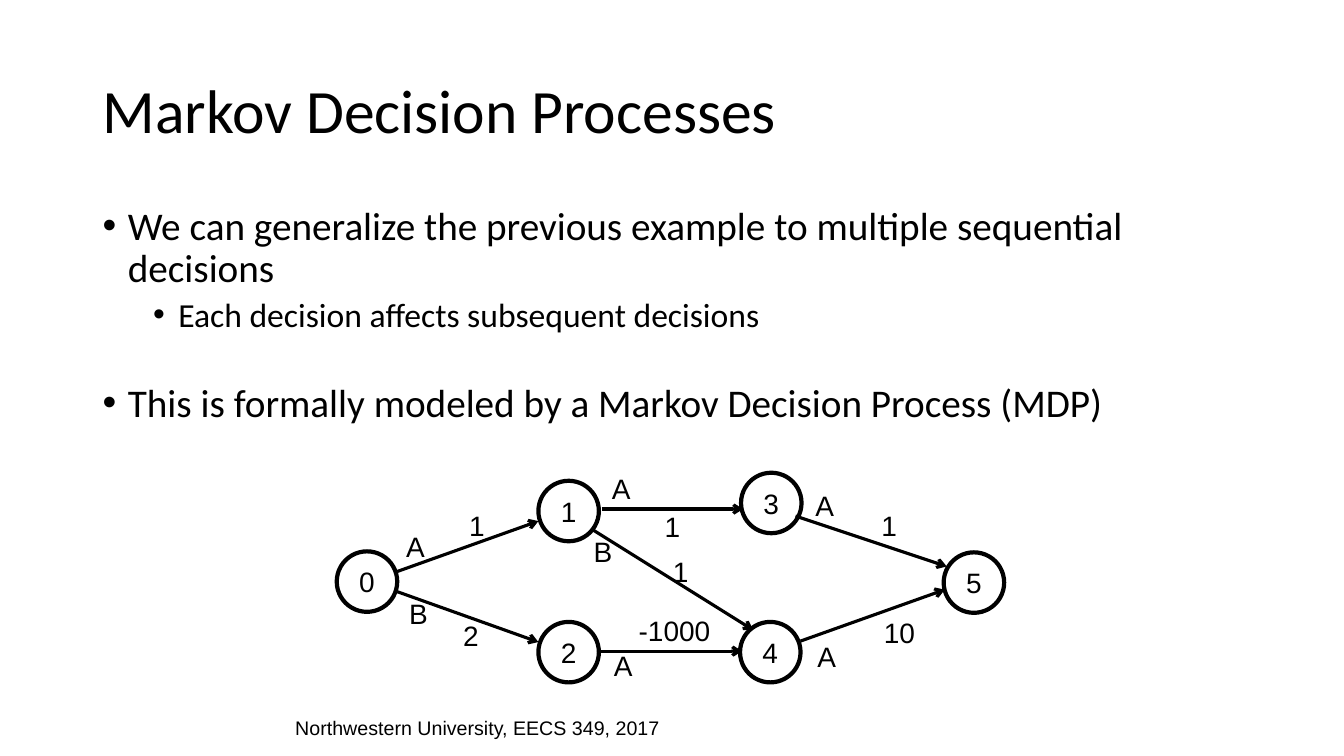
import lxml.etree
import pptx
import pptx.dml.color
import pptx.enum.shapes
import pptx.enum.text
import pptx.oxml.ns
import pptx.util

Inches, Pt = pptx.util.Inches, pptx.util.Pt
ALIGN = pptx.enum.text.PP_ALIGN
ANCHOR = pptx.enum.text.MSO_ANCHOR
BLACK = "000000"
NODE_SIZE = 0.6
LABEL_HEIGHT = 0.43

# Top-left corners of the states, in inches from the corner of the diagram
STATES = [(0, 0.78), (2, 0.08), (2, 1.48), (4.01, 0), (4, 1.48), (6.02, 0.79)]

# Arrow start, arrow end, action, action centre, reward, reward centre
TRANSITIONS = [
    ((0.6, 0.98), (2, 0.48), "A", (0.77, 0.73), "1", (1.39, 0.52)),
    ((0.6, 1.18), (2, 1.68), "B", (0.8, 1.39), "2", (1.33, 1.61)),
    ((2.63, 0.36), (4.03, 0.36), "A", (2.81, 0.15), "1", (3.33, 0.53)),
    ((2.53, 0.56), (4.13, 1.56), "B", (2.63, 0.78), "1", (3.41, 0.98)),
    ((2.62, 1.77), (4.02, 1.77), "A", (2.83, 1.91), "-1000", (3.35, 1.56)),
    ((4.55, 0.43), (6.05, 0.93), "A", (4.83, 0.32), "1", (5.48, 0.52)),
    ((4.6, 1.67), (6.03, 1.16), "A", (4.85, 1.82), "10", (5.58, 1.58)),
]

# Text, size in points, left margin in inches, space before in points
BULLETS = [
    ("We can generalize the previous example to multiple sequential decisions", 28, 0.25, 0),
    ("Each decision affects subsequent decisions", 24, 0.75, 5),
    ("This is formally modeled by a Markov Decision Process (MDP)", 28, 0.25, 35),
]


def colour(hex_value):
    return pptx.dml.color.RGBColor.from_string(hex_value)


def set_format(target, values):
    for name, value in values.items():
        setattr(target, name, value)


def style_font(font, face, size):
    set_format(font, {"name": face, "size": Pt(size)})
    font.color.rgb = colour(BLACK)


def add_xml(parent, tag, **attributes):
    lxml.etree.SubElement(parent, pptx.oxml.ns.qn(tag), attributes)


def add_text_box(slide, left, top, width, height, wrap=True, anchor=ANCHOR.TOP):
    """Add an empty text box and return its text frame."""
    frame = slide.shapes.add_textbox(
        Inches(left), Inches(top), Inches(width), Inches(height)).text_frame
    set_format(frame, {"word_wrap": wrap, "vertical_anchor": anchor})
    return frame


def add_title(slide, left, top, width, height):
    frame = add_text_box(slide, left, top, width, height, anchor=ANCHOR.MIDDLE)
    title = frame.paragraphs[0]
    set_format(title, {"text": "Markov Decision Processes", "line_spacing": 0.9})
    style_font(title.font, "Calibri", 44)


def add_bullets(slide, left, top, width, height):
    frame = add_text_box(slide, left, top, width, height)
    for index, (text, size, margin, space) in enumerate(BULLETS):
        point = frame.add_paragraph() if index else frame.paragraphs[0]
        set_format(point, {"text": text, "line_spacing": 0.9})
        if space:
            point.space_before = Pt(space)
        properties = point._p.get_or_add_pPr()
        properties.set("marL", str(Inches(margin)))
        properties.set("indent", str(Inches(-0.25)))
        add_xml(properties, "a:buFont", typeface="Arial")
        add_xml(properties, "a:buChar", char="•")
        style_font(point.font, "Calibri", size)


def add_state(slide, left, top, number):
    state = slide.shapes.add_shape(
        pptx.enum.shapes.MSO_SHAPE.OVAL,
        Inches(left), Inches(top), Inches(NODE_SIZE), Inches(NODE_SIZE))
    state.shadow.inherit = False
    state.fill.background()
    state.line.color.rgb = colour(BLACK)
    state.line.width = Pt(3)
    frame = state.text_frame
    set_format(frame, {"word_wrap": False, "vertical_anchor": ANCHOR.MIDDLE,
                       "margin_left": 0, "margin_right": 0,
                       "margin_top": 0, "margin_bottom": 0})
    set_format(frame.paragraphs[0], {"text": str(number), "alignment": ALIGN.CENTER})
    style_font(frame.paragraphs[0].font, "Arial", 20)


def add_arrow(slide, start, end):
    arrow = slide.shapes.add_connector(
        pptx.enum.shapes.MSO_CONNECTOR.STRAIGHT,
        *(Inches(length) for length in (*start, *end)))
    arrow.line.color.rgb = colour(BLACK)
    arrow.line.width = Pt(2.25)
    add_xml(arrow.line._get_or_add_ln(), "a:tailEnd", type="arrow")
    add_xml(arrow._element.spPr, "a:effectLst")


def add_label(slide, centre, text):
    width = 0.2 + 0.16 * len(text)
    frame = add_text_box(slide, centre[0] - width / 2, centre[1] - LABEL_HEIGHT / 2,
                         width, LABEL_HEIGHT, wrap=False)
    set_format(frame.paragraphs[0], {"text": text, "alignment": ALIGN.CENTER})
    style_font(frame.paragraphs[0].font, "Arial", 20)


def add_decision_graph(slide, left, top):
    def place(point):
        return left + point[0], top + point[1]

    for number, corner in enumerate(STATES):
        add_state(slide, *place(corner), number)
    for start, end, action, action_centre, reward, reward_centre in TRANSITIONS:
        add_arrow(slide, place(start), place(end))
        add_label(slide, place(action_centre), action)
        add_label(slide, place(reward_centre), reward)


def add_footer(slide, left, top, width, height):
    frame = add_text_box(slide, left, top, width, height, anchor=ANCHOR.MIDDLE)
    frame.paragraphs[0].text = "Northwestern University, EECS 349, 2017"
    style_font(frame.paragraphs[0].font, "Arial", 14)


def main():
    deck = pptx.Presentation()
    set_format(deck, {"slide_width": Inches(13.33), "slide_height": Inches(7.5)})
    slide = deck.slides.add_slide(deck.slide_layouts[6])
    add_title(slide, 0.92, 0.4, 11.5, 1.45)
    add_bullets(slide, 0.92, 2, 11.5, 4.76)
    add_decision_graph(slide, 3.34, 4.69)
    add_footer(slide, 2.83, 7.08, 7.5, 0.27)
    deck.save("out.pptx")


if __name__ == "__main__":
    main()
